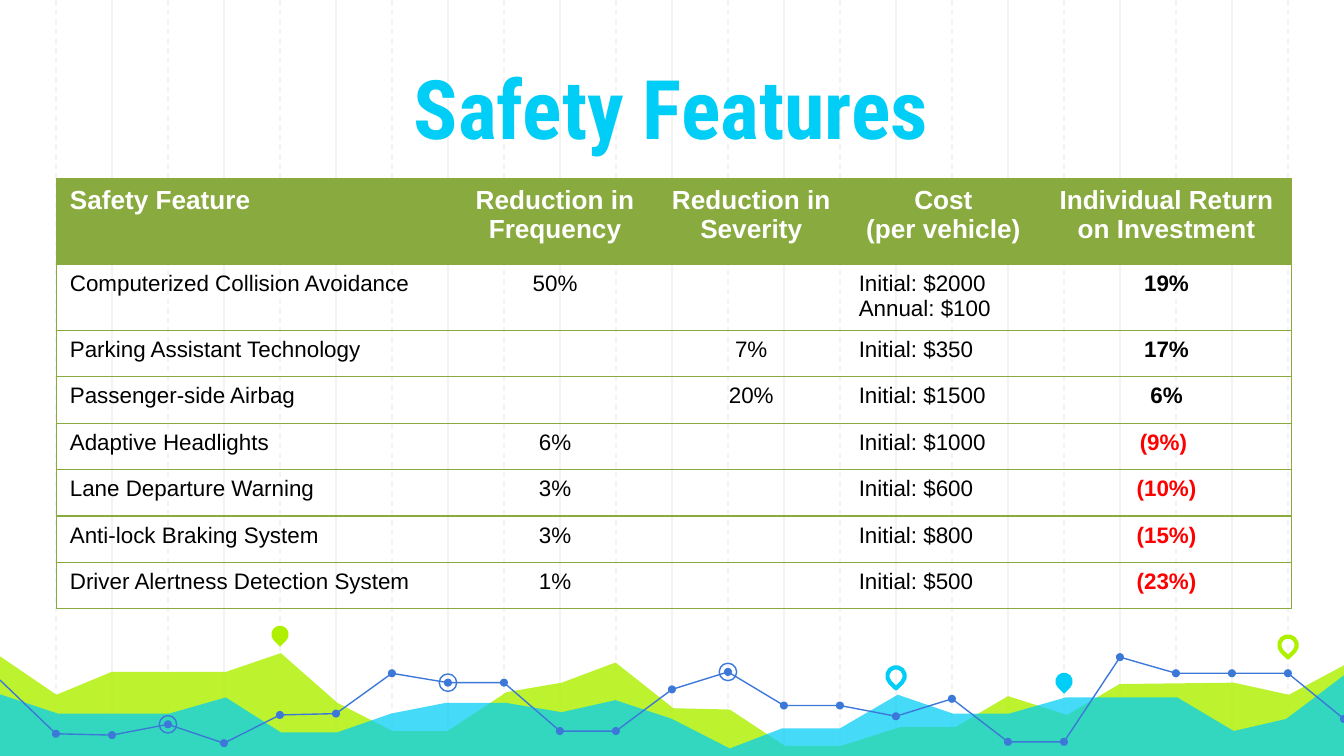
"""Build the Safety Features slide with its table and chart-like footer."""
from lxml import etree
from pptx import Presentation
from pptx.dml.color import RGBColor
from pptx.enum.dml import MSO_LINE
from pptx.enum.shapes import MSO_CONNECTOR, MSO_SHAPE
from pptx.enum.text import MSO_ANCHOR, MSO_AUTO_SIZE, PP_ALIGN
from pptx.oxml.ns import qn
from pptx.util import Inches, Pt

LIME = RGBColor(0xAF, 0xF0, 0x00)
CYAN = RGBColor(0x00, 0xCE, 0xF6)
BLUE = RGBColor(0x3C, 0x78, 0xD8)
OLIVE = RGBColor(0x89, 0xAA, 0x3E)
GRID = RGBColor(0xF3, 0xF3, 0xF3)
RED = RGBColor(0xFF, 0x00, 0x00)
BLACK = RGBColor(0x00, 0x00, 0x00)
WHITE = RGBColor(0xFF, 0xFF, 0xFF)
NO_STYLE = "{2D5ABB26-0587-4C30-8999-92F81FD0307C}"


def write(tf, text, size=12, font="Arial", color=BLACK, bold=False, align=PP_ALIGN.LEFT):
    for i, line in enumerate(text.split("\n")):
        p = tf.paragraphs[0] if i == 0 else tf.add_paragraph()
        p.alignment = align
        if not line:
            etree.SubElement(p._p, qn("a:endParaRPr"), sz=str(size * 100))
            continue
        r = p.add_run()
        r.text = line
        r.font.size, r.font.name, r.font.bold = Pt(size), font, bold
        r.font.color.rgb = color


def paint(sp, fill=None, line=None, weight=0.75, alpha=None):
    sp.shadow.inherit = False
    if fill is None:
        sp.fill.background()
    else:
        sp.fill.solid()
        sp.fill.fore_color.rgb = fill
    if alpha:
        clr = sp._element.spPr.find(qn("a:solidFill"))[0]
        etree.SubElement(clr, qn("a:alpha"), val=str(alpha * 1000))
    if line is None:
        sp.line.fill.background()
    else:
        sp.line.color.rgb = line
        sp.line.width = Pt(weight)


prs = Presentation()
prs.slide_width = Inches(10)
prs.slide_height = prs.slide_width * 9 // 16
s = prs.slides.add_slide(prs.slide_layouts[5])
shapes = s.shapes
step = 10 / 24

for start, dash in ((2, None), (1, MSO_LINE.DASH)):
    for col in range(start, 24, 2):
        x = Inches(col * step)
        ln = shapes.add_connector(MSO_CONNECTOR.STRAIGHT, x, 0, x, Inches(5.65))
        ln.line.color.rgb = GRID
        ln.line.width = Pt(0.75)
        ln.line.dash_style = dash
        etree.SubElement(ln._element.spPr, qn("a:effectLst"))

lime_area = [
    (-0.02, 4.87), (0.42, 5.17), (0.83, 5), (1.68, 5), (2.09, 4.86), (2.51, 5.23),
    (2.92, 5.44), (3.33, 5.44), (3.77, 5.15), (4.18, 5.08), (4.58, 4.93), (5.01, 5.27),
    (5.43, 5.28), (5.84, 5.55), (6.26, 5.55), (6.7, 5.41), (7.11, 5.41), (7.5, 5.18),
    (7.94, 5.32), (8.33, 5.09), (9.18, 5.08), (9.59, 5.17), (10.02, 4.94),
    (10.01, 5.64), (-0.03, 5.64)]
cyan_area = [
    (-0.02, 5.16), (0.43, 5.31), (1.26, 5.31), (1.68, 5.19), (2.09, 5.45), (2.51, 5.45),
    (2.91, 5.31), (3.32, 5.23), (3.76, 5.23), (4.18, 5.3), (4.58, 5.21), (5, 5.35),
    (5.43, 5.57), (5.82, 5.42), (6.25, 5.42), (6.68, 5.17), (7.09, 5.31), (7.51, 5.31),
    (7.93, 5.19), (8.76, 5.19), (9.18, 5.44), (9.57, 5.35), (10.02, 5.01),
    (10.02, 5.65), (-0.03, 5.65)]
levels = [5.06, 5.46, 5.47, 5.39, 5.53, 5.32, 5.31, 5.01, 5.08, 5.08, 5.44, 5.44, 5.13,
          5, 5.25, 5.25, 5.33, 5.2, 5.52, 5.52, 4.89, 5.01, 5.01, 5.01, 5.35]
trend = [(i * step, y) for i, y in enumerate(levels)]

outlines = [
    (lime_area, True, dict(fill=LIME, alpha=82)),
    (cyan_area, True, dict(fill=CYAN, alpha=73)),
    (trend[:12], False, dict(line=BLUE)),
    (trend[11:21], False, dict(line=BLUE)),
    (trend[20:], False, dict(line=BLUE))]
for points, closed, look in outlines:
    pts = [(Inches(x), Inches(y)) for x, y in points]
    builder = shapes.build_freeform(*pts[0])
    builder.add_line_segments(pts[1:], close=closed)
    paint(builder.convert_to_shape(), **look)

drop, oval = MSO_SHAPE.TEAR, MSO_SHAPE.OVAL
markers = [(oval, x, y, 0.06, dict(fill=BLUE)) for x, y in trend[1:]]
markers += [(oval, *trend[i], 0.13, dict(line=BLUE)) for i in (3, 8, 13)]
markers += [
    (drop, 5 * step, 4.72, 0.13, dict(fill=LIME)),
    (drop, 16 * step, 5.03, 0.13, dict(line=CYAN, weight=2.25)),
    (drop, 19 * step, 5.07, 0.13, dict(fill=CYAN)),
    (drop, 23 * step, 4.8, 0.13, dict(line=LIME, weight=2.25))]
for kind, x, y, size, look in markers:
    sp = shapes.add_shape(kind, Inches(x - size / 2), Inches(y - size / 2),
                          Inches(size), Inches(size))
    sp.rotation = 135 if kind == drop else 0
    paint(sp, **look)

rows = [
    ("Safety Feature", "Reduction in Frequency", "Reduction in Severity",
     "Cost\n(per vehicle)", "Individual Return on Investment"),
    ("Computerized Collision Avoidance", "50%", "", "Initial: $2000\nAnnual: $100", "19%"),
    ("Parking Assistant Technology", "", "7%", "Initial: $350", "17%"),
    ("Passenger-side Airbag", "", "20%", "Initial: $1500", "6%"),
    ("Adaptive Headlights", "6%", "", "Initial: $1000", "(9%) "),
    ("Lane Departure Warning", "3%", "", "Initial: $600", "(10%)"),
    ("Anti-lock Braking System", "3%", "", "Initial: $800", "(15%)"),
    ("Driver Alertness Detection System", "1%", "", "Initial: $500", "(23%)")]
widths = [2.95, 1.52, 1.4, 1.46, 1.86]
short_row = (3.2 - 0.64 - 0.49) / 6
heights = [0.64, 0.49] + [short_row] * 6
frame = shapes.add_table(len(rows), len(widths), Inches(0.42), Inches(1.33),
                         Inches(sum(widths)), Inches(sum(heights)))
table = frame.table
table.first_row = table.horz_banding = False
next(frame._element.iter(qn("a:tableStyleId"))).text = NO_STYLE
for column, width in zip(table.columns, widths):
    column.width = Inches(width)
for row, height in zip(table.rows, heights):
    row.height = Inches(height)

last = len(widths) - 1
for i, texts in enumerate(rows):
    for j, text in enumerate(texts):
        cell = table.cell(i, j)
        header = i == 0
        if header:
            cell.fill.solid()
            cell.fill.fore_color.rgb = OLIVE
        else:
            cell.fill.background()
        color = WHITE if header else RED if text.startswith("(") else BLACK
        centred = j in (1, 2, last) or (header and j > 0)
        write(cell.text_frame, text, size=14 if header else 12, color=color,
              bold=header or j == last,
              align=PP_ALIGN.CENTER if centred else PP_ALIGN.LEFT)
        sides = ["lnL"] * (j == 0) + ["lnR"] * (j == last) + ["lnT", "lnB"]
        for k, side in enumerate(sides):
            edge = etree.Element(qn("a:" + side), w=str(Pt(0.75)))
            fill = etree.SubElement(edge, qn("a:solidFill"))
            etree.SubElement(fill, qn("a:srgbClr"), val=str(OLIVE))
            cell._tc.tcPr.insert(k, edge)

title = shapes.title
shapes._spTree.append(title._element)
title.left, title.top, title.width, title.height = map(Inches, (1.39, -0.01, 7.21, 1.27))
tf = title.text_frame
tf.auto_size = MSO_AUTO_SIZE.NONE
tf.word_wrap = True
tf.vertical_anchor = MSO_ANCHOR.BOTTOM
tf.margin_left = tf.margin_right = tf.margin_top = tf.margin_bottom = Inches(0.1)
write(tf, "Safety Features", size=44, font="Roboto Condensed", color=CYAN, bold=True,
      align=PP_ALIGN.CENTER)

prs.save("out.pptx")
